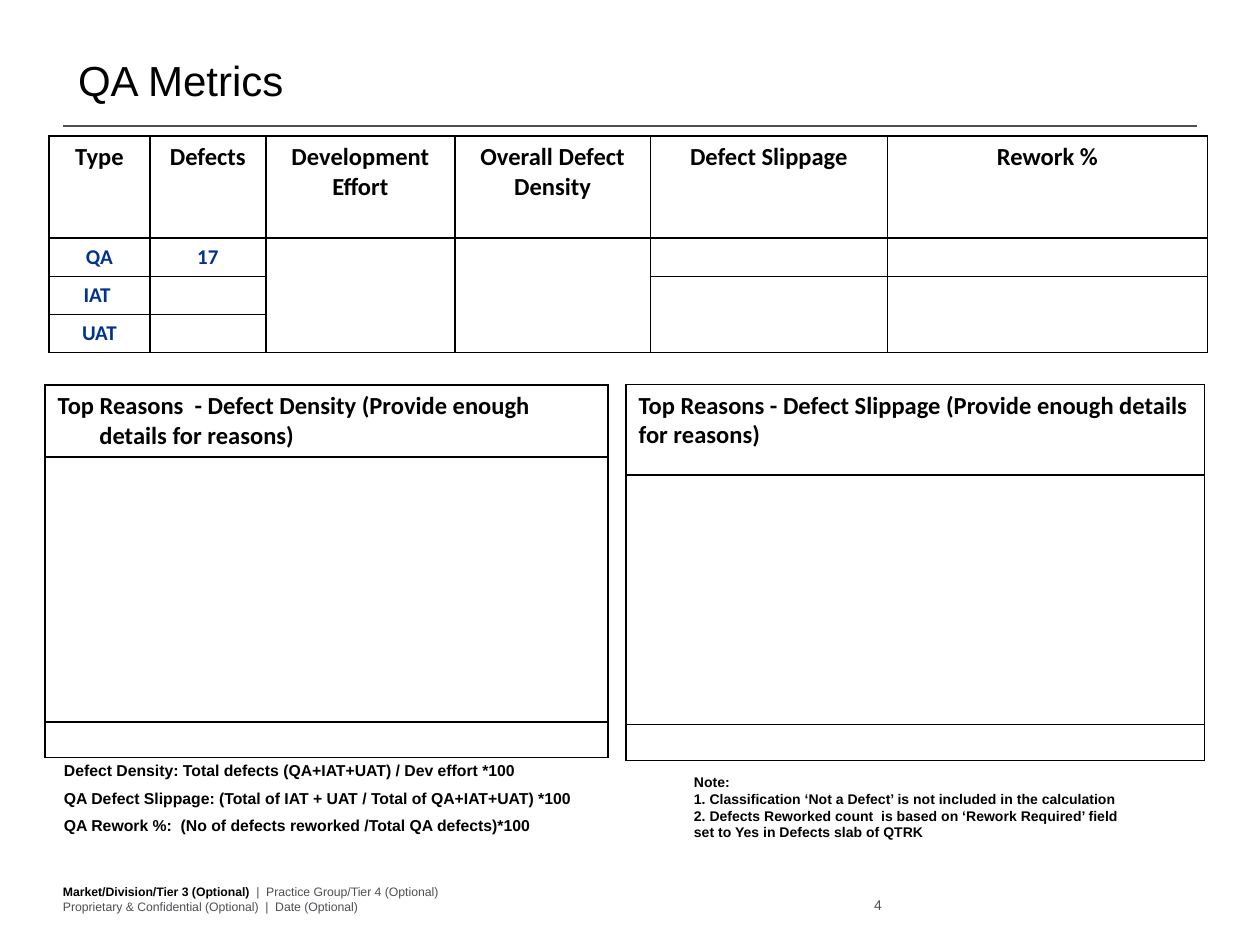
import lxml.etree
import pptx
import pptx.dml.color
import pptx.enum.text
import pptx.oxml.ns
import pptx.util

Cm = pptx.util.Cm
Pt = pptx.util.Pt
qn = pptx.oxml.ns.qn
ALIGN = pptx.enum.text.PP_ALIGN
ANCHOR = pptx.enum.text.MSO_ANCHOR

BLACK = pptx.dml.color.RGBColor(0x00, 0x00, 0x00)
GRAY = pptx.dml.color.RGBColor(0x4D, 0x4F, 0x53)
NAVY = pptx.dml.color.RGBColor(0x00, 0x33, 0x8D)


def add_run(paragraph, text, size, color=BLACK, bold=False, font="Arial"):
    """Append one formatted run to a paragraph."""
    run = paragraph.add_run()
    run.text = text
    run.font.name = font
    run.font.size = Pt(size)
    run.font.bold = bold
    run.font.color.rgb = color


def add_text_frame(slide, left, top, width, height, wrap=True, footer=False):
    """Add a text box and return its frame; footer boxes sit tight at the bottom."""
    box = slide.shapes.add_textbox(Cm(left), Cm(top), Cm(width), Cm(height))
    frame = box.text_frame
    frame.word_wrap = wrap
    if footer:
        frame.vertical_anchor = ANCHOR.BOTTOM
        frame.margin_left = frame.margin_right = 0
        frame.margin_top = frame.margin_bottom = 0
    return frame


def add_lines(frame, lines, size, gap=0):
    """Write bold lines as paragraphs with an equal gap between them."""
    for index, line in enumerate(lines):
        paragraph = frame.add_paragraph() if index else frame.paragraphs[0]
        if index:
            paragraph.space_before = Pt(gap)
        add_run(paragraph, line, size, bold=True)


def format_cell(cell):
    """Give a cell black borders, no fill and a small empty line height."""
    properties = cell._tc.get_or_add_tcPr()
    for side in ("a:lnL", "a:lnR", "a:lnT", "a:lnB"):
        border = lxml.etree.SubElement(properties, qn(side), w=str(Pt(1)))
        fill = lxml.etree.SubElement(border, qn("a:solidFill"))
        lxml.etree.SubElement(fill, qn("a:srgbClr"), val=str(BLACK))
    cell.fill.background()
    if not cell.text:
        paragraph = cell.text_frame.paragraphs[0]
        lxml.etree.SubElement(paragraph._p, qn("a:endParaRPr"), sz="1000")


def add_grid(slide, left, top, columns, rows):
    """Add a plain table with the given column widths and row heights."""
    grid = slide.shapes.add_table(
        len(rows), len(columns), Cm(left), Cm(top), Cm(sum(columns)), Cm(sum(rows))
    ).table
    grid.first_row = grid.horz_banding = False
    for column, width in zip(grid.columns, columns):
        column.width = Cm(width)
    for row, height in zip(grid.rows, rows):
        row.height = Cm(height)
    return grid


def format_grid(grid):
    """Format every visible cell of a table."""
    for cell in grid.iter_cells():
        if not cell.is_spanned:
            format_cell(cell)


def add_metrics(slide):
    """Add the table of metrics by test type."""
    metrics = add_grid(slide, 0.99, 2.74, [2.03, 2.34, 3.81, 3.94, 4.78, 6.45],
                       [2.06] + [0.77] * 3)
    content = [
        ["Type", "Defects", "Development Effort", "Overall Defect Density",
         "Defect Slippage", "Rework %"],
        ["QA", "17"],
        ["IAT "],
        ["UAT"],
    ]
    for row, texts in enumerate(content):
        size, color = (12, NAVY) if row else (14, BLACK)
        for column, text in enumerate(texts):
            paragraph = metrics.cell(row, column).text_frame.paragraphs[0]
            paragraph.alignment = ALIGN.CENTER
            add_run(paragraph, text, size, color, True, "Calibri")
    for column, first_row in ((2, 1), (3, 1), (4, 2), (5, 2)):
        metrics.cell(first_row, column).merge(metrics.cell(3, column))
    format_grid(metrics)


def add_reasons(slide, left, top, width, rows, heading, hanging=0):
    """Add a one-column table headed by its question."""
    reasons = add_grid(slide, left, top, [width], rows)
    paragraph = reasons.cell(0, 0).text_frame.paragraphs[0]
    if hanging:
        indents = paragraph._p.get_or_add_pPr()
        indents.set("marL", str(Cm(hanging)))
        indents.set("indent", str(-Cm(hanging)))
    add_run(paragraph, heading, 14, bold=True, font="Calibri")
    format_grid(reasons)


def add_title(slide):
    """Fill the title placeholder and draw the rule beneath it."""
    title = slide.shapes.title
    title.left, title.top, title.width, title.height = Cm(1.32), Cm(0.97), Cm(4.7), Cm(1.27)
    frame = title.text_frame
    frame.word_wrap = False
    frame.auto_size = pptx.enum.text.MSO_AUTO_SIZE.NONE
    frame.vertical_anchor = ANCHOR.MIDDLE
    frame.paragraphs[0].alignment = ALIGN.LEFT
    add_run(frame.paragraphs[0], "QA Metrics", 24)

    rule = slide.shapes.add_connector(
        pptx.enum.shapes.MSO_CONNECTOR.STRAIGHT, Cm(1.27), Cm(2.54), Cm(24.13), Cm(2.54))
    rule.line.color.rgb = GRAY
    rule.line.width = Pt(0.75)
    lxml.etree.SubElement(rule._element.spPr, qn("a:effectLst"))


def add_footer(slide):
    """Add the footer lines and the page number."""
    footer = add_text_frame(slide, 1.27, 17.63, 14.15, 0.79, footer=True).paragraphs[0]
    add_run(footer, "Market/Division/Tier 3 (Optional)", 7, bold=True)
    add_run(footer, "  |  Practice Group/Tier 4 (Optional)", 7, GRAY)
    footer.add_line_break()
    add_run(footer, "Proprietary & Confidential (Optional)  |  Date (Optional)", 7, GRAY)

    page = add_text_frame(slide, 16.97, 17.58, 0.81, 0.84, False, True).paragraphs[0]
    page.alignment = ALIGN.RIGHT
    add_run(page, "4", 8, GRAY)


def main():
    """Build the QA metrics slide."""
    deck = pptx.Presentation()
    deck.slide_width, deck.slide_height = Cm(25.4), Cm(19.05)
    slide = deck.slides.add_slide(deck.slide_layouts[5])
    add_title(slide)
    add_footer(slide)
    add_reasons(slide, 0.91, 7.76, 11.35, [1.45, 5.34, 0.72],
                "Top Reasons  - Defect Density (Provide enough details for reasons)", 0.84)
    add_reasons(slide, 12.62, 7.75, 11.66, [1.83, 5.03, 0.72],
                "Top Reasons - Defect Slippage (Provide enough details for reasons)")
    add_metrics(slide)
    add_lines(add_text_frame(slide, 1.04, 15.21, 12.37, 1.78), [
        "Defect Density: Total defects (QA+IAT+UAT) / Dev effort *100",
        "QA Defect Slippage: (Total of IAT + UAT / Total of QA+IAT+UAT) *100",
        "QA Rework %:  (No of defects reworked /Total QA defects)*100",
    ], 9, gap=5)
    add_lines(add_text_frame(slide, 13.74, 15.47, 9.4, 1.63), [
        "Note:",
        "1. Classification ‘Not a Defect’ is not included in the calculation",
        "2. Defects Reworked count  is based on ‘Rework Required’ field "
        "set to Yes in Defects slab of QTRK",
    ], 8)
    deck.save("out.pptx")


if __name__ == "__main__":
    main()
